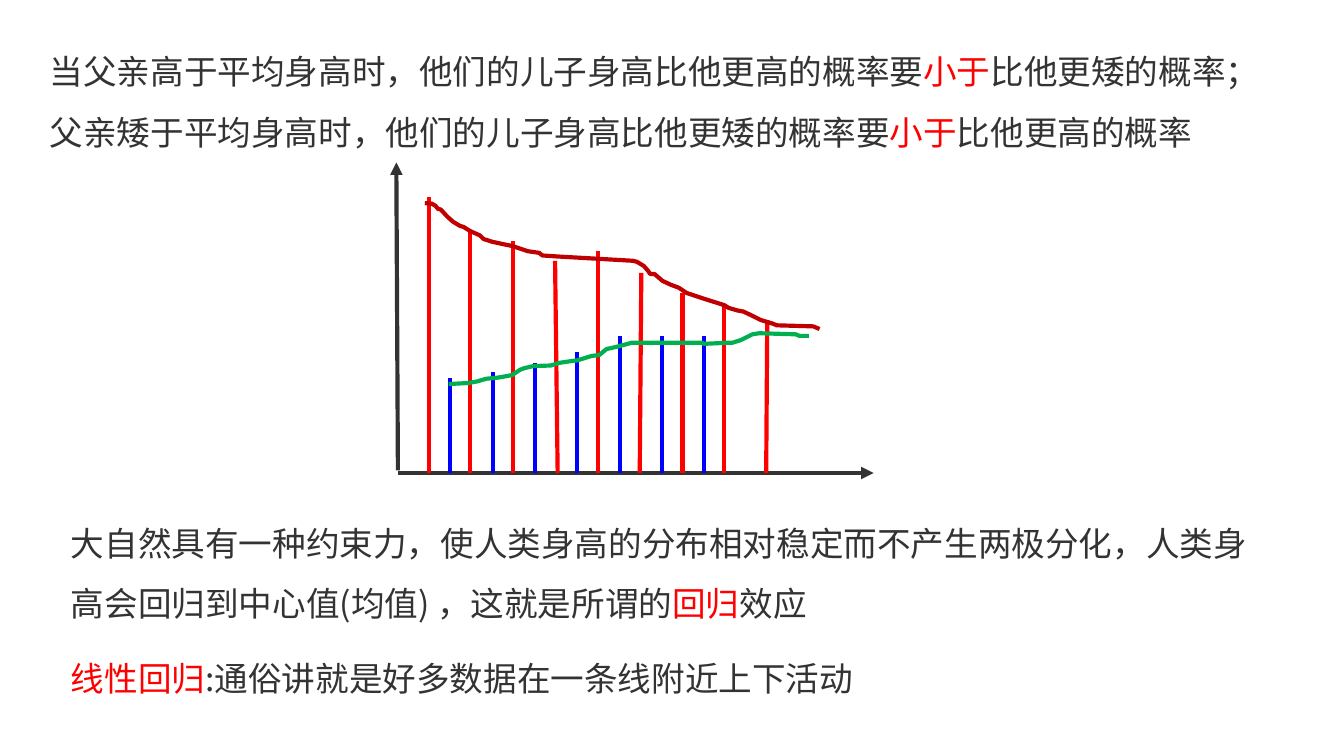
from dataclasses import dataclass

from lxml import etree
from pptx import Presentation
from pptx.dml.color import RGBColor
from pptx.enum.shapes import MSO_CONNECTOR
from pptx.oxml.ns import qn
from pptx.util import Cm, Pt

STRAIGHT = MSO_CONNECTOR.STRAIGHT


@dataclass(frozen=True)
class Theme:
    """Colours, font and sizes shared by the slide."""
    font: str = "Noto Sans CJK SC"
    size: float = 18
    spacing: float = 1.5
    stroke: float = 2.25
    ink: str = "333333"
    red: str = "FF0000"
    blue: str = "0000FF"
    dark_red: str = "C00000"
    green: str = "00B050"


THEME = Theme()
BASE = 8.94
FATHER_BARS = [
    (8.1, 8.1, 3.73), (8.89, 8.89, 4.34), (9.7, 9.7, 4.55),
    (10.54, 10.49, 4.93), (11.3, 11.3, 4.75), (12.09, 12.12, 5.16),
    (12.9, 12.9, 5.54), (13.69, 13.69, 5.74), (14.48, 14.5, 6.05),
]
SON_LEFT, SON_STEP = 8.51, 0.8
SON_TOPS = [7.14, 7.04, 6.86, 6.65, 6.35, 6.35, 6.35]
FATHER_CURVE = [
    (8.03, 3.84), (8.16, 3.85), (8.23, 3.89), (8.28, 3.95), (8.33, 3.96),
    (8.45, 4.09), (8.56, 4.19), (8.69, 4.27), (8.76, 4.29), (8.89, 4.37),
    (9.07, 4.45), (9.14, 4.52), (9.3, 4.57), (9.53, 4.62), (9.68, 4.65),
    (9.98, 4.75), (10.19, 4.78), (10.25, 4.83), (10.54, 4.85),
    (11.96, 4.93), (12.04, 4.95), (12.17, 5.03), (12.24, 5.11),
    (12.29, 5.18), (12.37, 5.18), (12.52, 5.31), (12.67, 5.38),
    (12.83, 5.44), (12.98, 5.54), (13.28, 5.64), (13.69, 5.77),
    (13.77, 5.82), (13.94, 5.87), (14.05, 5.89), (14.22, 5.97),
    (14.38, 6.05), (14.61, 6.12), (14.68, 6.15), (15.37, 6.17),
    (15.49, 6.22),
]
SON_CURVE = [
    (8.48, 7.26), (8.86, 7.24), (9.02, 7.21), (9.19, 7.16), (9.4, 7.14),
    (9.58, 7.11), (9.68, 7.09), (9.83, 6.99), (9.91, 6.96), (10.08, 6.92),
    (10.41, 6.91), (10.57, 6.86), (10.77, 6.83), (10.92, 6.81),
    (11.18, 6.73), (11.33, 6.71), (11.46, 6.6), (11.68, 6.55),
    (11.94, 6.48), (12.09, 6.48), (13.26, 6.48), (13.31, 6.5),
    (13.74, 6.48), (13.84, 6.48), (14, 6.43), (14.22, 6.32), (14.35, 6.3),
    (15.04, 6.32), (15.11, 6.35), (15.29, 6.35),
]


def add_text(s, left, top, height, *runs):
    """Add a wrapped paragraph from (text, colour) runs."""
    tf = s.shapes.add_textbox(Cm(left), Cm(top), Cm(22.83), Cm(height)).text_frame
    tf.word_wrap = True
    p = tf.paragraphs[0]
    p.line_spacing = THEME.spacing
    for text, color in runs:
        r = p.add_run()
        r.text = text
        r.font.name = THEME.font
        r.font.size = Pt(THEME.size)
        r.font.color.rgb = RGBColor.from_string(color)
        ea = etree.SubElement(r.font._element, qn("a:ea"))
        ea.set("typeface", THEME.font)


def style_line(shape, color):
    """Apply the common stroke width and a colour."""
    shape.line.width = Pt(THEME.stroke)
    shape.line.color.rgb = RGBColor.from_string(color)


def add_line(s, start, end, color, arrow=False):
    """Add a straight connector, with an optional arrowhead at its end."""
    (x1, y1), (x2, y2) = start, end
    line = s.shapes.add_connector(STRAIGHT, Cm(x1), Cm(y1), Cm(x2), Cm(y2))
    style_line(line, color)
    if arrow:
        head = etree.SubElement(line.line._get_or_add_ln(), qn("a:tailEnd"))
        head.set("type", "triangle")
    etree.SubElement(line._element.spPr, qn("a:effectLst"))


def add_curve(s, points, color):
    """Add an open outline through the points."""
    pts = [(Cm(x), Cm(y)) for x, y in points]
    builder = s.shapes.build_freeform(*pts[0])
    builder.add_line_segments(pts[1:], close=False)
    curve = builder.convert_to_shape()
    curve.shadow.inherit = False
    curve.fill.background()
    style_line(curve, color)


def add_height_chart(s):
    """Draw the axes, the height bars and the two trend curves."""
    add_line(s, (7.52, BASE), (16.51, BASE), THEME.ink, arrow=True)
    add_line(s, (7.52, 8.89), (7.49, 3.07), THEME.ink, arrow=True)
    for foot, head, top in FATHER_BARS:
        add_line(s, (foot, BASE), (head, top), THEME.red)
    for i, top in enumerate(SON_TOPS):
        x = SON_LEFT + i * SON_STEP
        add_line(s, (x, BASE), (x, top), THEME.blue)
    add_curve(s, FATHER_CURVE, THEME.dark_red)
    add_curve(s, SON_CURVE, THEME.green)


def main():
    """Build the slide on regression to the mean."""
    prs = Presentation()
    prs.slide_width, prs.slide_height = Cm(25.4), Cm(14.29)
    s = prs.slides.add_slide(prs.slide_layouts[6])
    ink, red = THEME.ink, THEME.red
    add_text(s, 0.69, 0.46, 2.57,
             ("当父亲高于平均身高时，他们的儿子身高比他更高的概率要", ink),
             ("小于", red),
             ("比他更矮的概率；父亲矮于平均身高时，他们的儿子身高比他更矮的概率要", ink),
             ("小于", red),
             ("比他更高的概率", ink))
    add_height_chart(s)
    add_text(s, 1.09, 9.37, 2.57,
             ("大自然具有一种约束力，使人类身高的分布相对稳定而不产生两极分化，"
              "人类身高会回归到中心值(均值) ，这就是所谓的", ink),
             ("回归", red),
             ("效应", ink))
    add_text(s, 1.09, 11.94, 1.22,
             ("线性回归", red),
             (":通俗讲就是好多数据在一条线附近上下活动", ink))
    prs.save("out.pptx")


if __name__ == "__main__":
    main()
